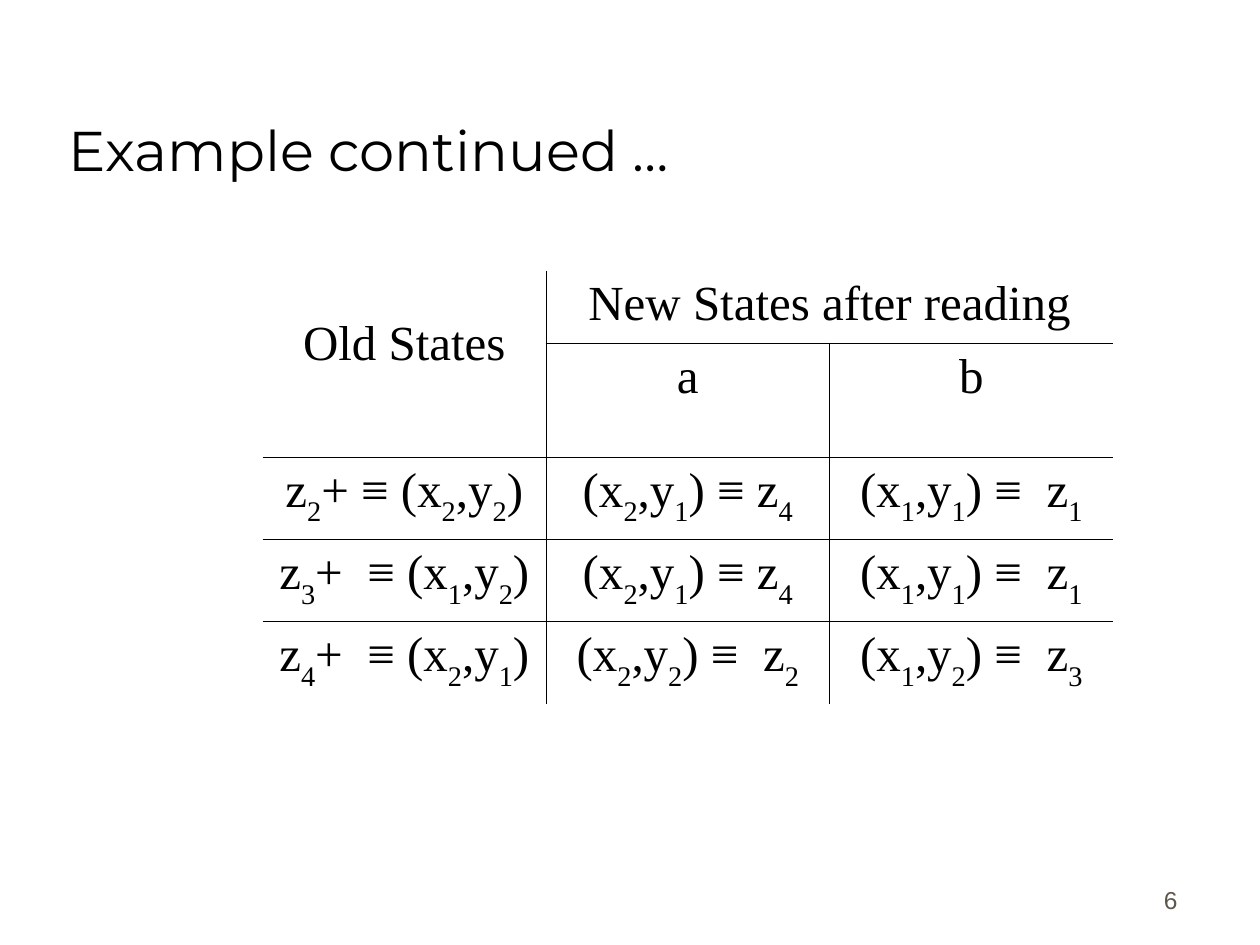
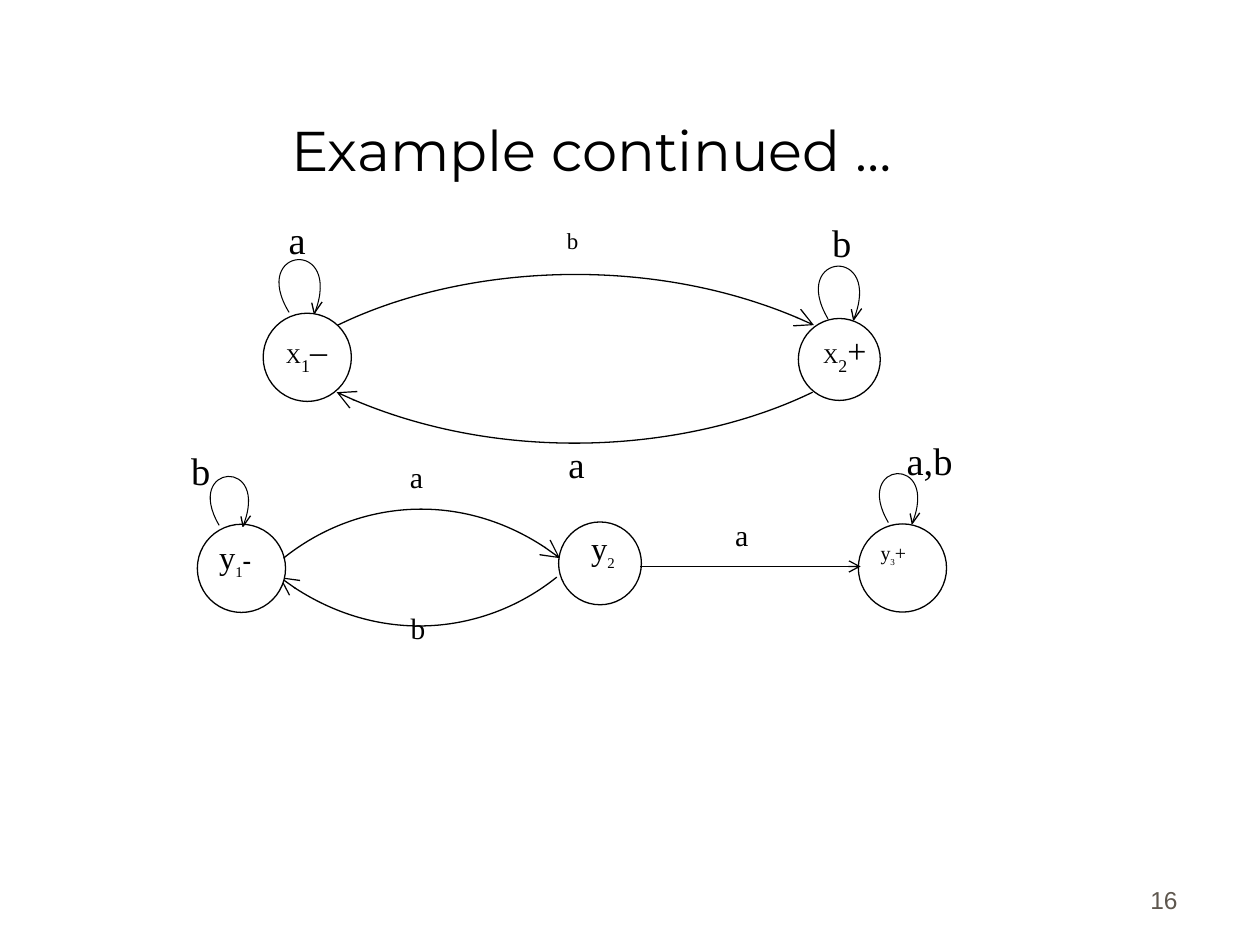
from lxml import etree
from pptx import Presentation
from pptx.dml.color import RGBColor
from pptx.enum.shapes import MSO_CONNECTOR, MSO_SHAPE
from pptx.enum.text import MSO_ANCHOR, PP_ALIGN
from pptx.oxml.ns import qn
from pptx.util import Pt

LEFT, CENTER, RIGHT = PP_ALIGN.LEFT, PP_ALIGN.CENTER, PP_ALIGN.RIGHT
TOP, BOTTOM = MSO_ANCHOR.TOP, MSO_ANCHOR.BOTTOM
OVAL, STRAIGHT = MSO_SHAPE.OVAL, MSO_CONNECTOR.STRAIGHT

COLORS = {"ink": "000000", "paper": "FFFFFF", "number": "5E574E"}
TITLE_FONT, NUMBER_FONT, MATH_FONT = "Montserrat", "Arial", "Times New Roman"
TITLE = "Example continued …"
WIDE_GAP = "~"
LOOP_CONTROLS = [(-1.3, 22.8), (-27, -13.2), (27, -22.2), (13.2, 22.4)]
LOOP_HEADS = [[(11.3, 22.7), (16.3, 16.9)], [(10.4, 17), (11.2, 23.4)]]

TRANSITIONS = [
    ("z_2+ ≡ (x_2,y_2)", "(x_2,y_1) ≡ z_4", "(x_1,y_1) ≡~z_1"),
    ("z_3+~≡ (x_1,y_2)", "(x_2,y_1) ≡ z_4", "(x_1,y_1) ≡~z_1"),
    ("z_4+~≡ (x_2,y_1)", "(x_2,y_2) ≡~z_2", "(x_1,y_2) ≡~z_3"),
]
CIRCLES = [
    (150.4, 179, 50.4), (456.2, 182, 46.8),
    (112.8, 299.6, 50.4), (319.2, 298.3, 47.3), (490.5, 299.4, 50.4),
]
RETURN_ARC = [(318.2, 329.8), (277.9, 362.2), (212.4, 370.1), (159.8, 329.8)]
ARCS = [
    [(193, 185.8), (262.8, 151.9), (375.8, 143.8), (465.1, 185.8)],
    [(464.4, 224.1), (394.6, 258), (282.2, 266.6), (192.4, 224.1)],
    [(162, 319), (202.3, 286.6), (267.8, 278.4), (320, 319)],
]
LOOPS = [(168.1, 155.9, 1, 4), (476.4, 159.6, 1, 5),
         (128.3, 279.2, 0.93, 5), (510.7, 277.6, 0.93, 5)]
EDGE_LABELS = [
    ("b", 468.5, 121.7, 60.5, 40.3, 22, 1),
    ("a", 157.9, 120.2, 60.5, 40.3, 22, 1),
    ("a", 317.7, 249.1, 28, 33, 21, 1),
    ("b", 316.8, 128.9, 23.8, 23.8, 13.1, 0.8),
    ("a,b", 511, 246.2, 70.6, 48.2, 22, 1),
    ("b", 102.2, 252, 70.6, 48.2, 22, 1),
    ("a", 227.2, 262.5, 29.5, 28.8, 17.1, 0.8),
    ("a", 413, 295.5, 29.5, 28.8, 17.1, 0.8),
    ("b", 227.5, 349.2, 29.5, 28.8, 16.8, 0.8),
]
STATE_NAMES = [
    ([("X", 12), ("1", 17.6, True), ("–", 19.4)],
     156.3, 184.7, 70.6, 38.4, 0.9),
    ([("X", 12), ("2", 17.6, True), ("+", 19.4)],
     463.3, 185, 70.6, 38.4, 0.9),
    ([("y", 18.6), ("1", 14.7, True), ("-", 14.7, False, True)],
     118.1, 306, 57.6, 33.1, 0.8),
    ([("y", 18.6), ("2", 14.7, True)], 330.7, 301, 57.6, 32.4, 0.8),
    ([("y", 11.4), ("3", 9, True), ("+", 11.4)],
     496.1, 307.3, 55.4, 24.5, 0.8),
]


def add_span(para, text, size=28, font=MATH_FONT, color="ink",
             subscript=False, bold=False, tracking=0):
    span = para.add_run()
    span.text = text
    span.font.size = Pt(size)
    span.font.name = font
    span.font.bold = bold
    span.font.color.rgb = RGBColor.from_string(COLORS[color])
    if subscript:
        span._r.get_or_add_rPr().set("baseline", "-30000")
    if tracking:
        span._r.get_or_add_rPr().set("spc", str(tracking * 100))


def add_formula(para, formula):
    for index, part in enumerate(formula.split("_")):
        if index:
            add_span(para, part[0], subscript=True)
            part = part[1:]
        before, gap, after = part.partition(WIDE_GAP)
        if before:
            add_span(para, before)
        if gap:
            add_span(para, " ", tracking=7)
        if after:
            add_span(para, after)


def add_box(page, left, top, width, height, anchor=TOP, align=LEFT, spacing=1):
    box = page.shapes.add_textbox(Pt(left), Pt(top), Pt(width), Pt(height))
    box.text_frame.word_wrap = True
    box.text_frame.vertical_anchor = anchor
    para = box.text_frame.paragraphs[0]
    para.alignment = align
    para.line_spacing = spacing
    return para


def add_page(deck, number, align):
    page = deck.slides.add_slide(deck.slide_layouts[5])
    title = page.shapes.title
    title.left, title.top, title.width, title.height = Pt(32), Pt(18), Pt(612), Pt(90)
    title.text_frame.vertical_anchor = BOTTOM
    para = title.text_frame.paragraphs[0]
    para.alignment = align
    add_span(para, TITLE, size=32, font=TITLE_FONT)
    para = add_box(page, 530, 490, 150, 36, anchor=BOTTOM, align=RIGHT)
    add_span(para, number, size=14, font=NUMBER_FONT, color="number")
    return page


def set_border(cell, side, visible):
    border = etree.SubElement(cell._tc.get_or_add_tcPr(), qn("a:ln" + side))
    border.set("w", str(Pt(0.45)))
    if visible:
        fill = etree.SubElement(border, qn("a:solidFill"))
        etree.SubElement(fill, qn("a:srgbClr")).set("val", COLORS["ink"])
    else:
        etree.SubElement(border, qn("a:noFill"))


def format_cell(table, row, column):
    cell = table.cell(row, column)
    last_row = row + cell.span_height == len(table.rows)
    last_column = column + cell.span_width == len(table.columns)
    set_border(cell, "L", column > 0 and not cell.is_spanned)
    set_border(cell, "R", not last_column)
    set_border(cell, "T", row > 0 and not cell.is_spanned)
    set_border(cell, "B", not last_row)
    cell.fill.background()


def add_transition_table(page):
    heights = [41.4, 65, 47, 47, 47]
    frame = page.shapes.add_table(5, 3, Pt(150), Pt(154.8), Pt(486), Pt(sum(heights)))
    table = frame.table
    table.first_row = table.horz_banding = False
    for column in table.columns:
        column.width = Pt(162)
    for row, height in zip(table.rows, heights):
        row.height = Pt(height)
    table.cell(0, 0).merge(table.cell(1, 0))
    table.cell(0, 1).merge(table.cell(0, 2))
    rows = [("Old States", "New States after reading", ""), ("", "a", "b"), *TRANSITIONS]
    for row, formulas in enumerate(rows):
        for column, formula in enumerate(formulas):
            format_cell(table, row, column)
            if formula:
                para = table.cell(row, column).text_frame.paragraphs[0]
                para.alignment = CENTER
                add_formula(para, formula)
    table.cell(0, 0).margin_top = Pt(26)


def set_line(shape, width, arrow=None):
    shape.line.color.rgb = RGBColor.from_string(COLORS["ink"])
    shape.line.width = Pt(width)
    if arrow:
        tail = etree.SubElement(shape._element.spPr.get_or_add_ln(), qn("a:tailEnd"))
        for name, value in (("type", "arrow"), ("w", arrow), ("len", arrow)):
            tail.set(name, value)


def add_circle(page, left, top, size):
    circle = page.shapes.add_shape(OVAL, Pt(left), Pt(top), Pt(size), Pt(size))
    circle.shadow.inherit = False
    circle.fill.solid()
    circle.fill.fore_color.rgb = RGBColor.from_string(COLORS["paper"])
    set_line(circle, 0.75)


def add_stroke(page, points, width=0.75, arrow=None, rotation=0):
    start, *others = [(Pt(x), Pt(y)) for x, y in points]
    builder = page.shapes.build_freeform(*start)
    builder.add_line_segments(others, close=False)
    stroke = builder.convert_to_shape()
    stroke.rotation = rotation
    stroke.shadow.inherit = False
    stroke.fill.background()
    set_line(stroke, width, arrow)
    return stroke


def add_curve(page, controls, **line):
    curve = add_stroke(page, controls, **line)
    outline = next(curve._element.iter(qn("a:path")))
    bezier = etree.SubElement(outline, qn("a:cubicBezTo"))
    for segment in outline.findall(qn("a:lnTo")):
        bezier.append(segment[0])
        outline.remove(segment)


def add_loop(page, center_x, center_y, scale, rotation):
    def place(points):
        return [(center_x + scale * x, center_y + scale * y) for x, y in points]

    add_curve(page, place(LOOP_CONTROLS), width=0.6, rotation=rotation)
    for head in LOOP_HEADS:
        add_stroke(page, place(head), rotation=rotation - 10)


def add_arrow(page, start, end, level):
    arrow = page.shapes.add_connector(STRAIGHT, Pt(start), Pt(level), Pt(end), Pt(level))
    set_line(arrow, 0.75, "med")
    etree.SubElement(arrow._element.spPr, qn("a:effectLst"))


def add_automata(page):
    add_curve(page, RETURN_ARC, arrow="lg")
    for circle in CIRCLES:
        add_circle(page, *circle)
    for arc in ARCS:
        add_curve(page, arc, arrow="lg")
    for loop in LOOPS:
        add_loop(page, *loop)
    add_arrow(page, 365.8, 491.8, 323.7)
    for text, left, top, width, height, size, spacing in EDGE_LABELS:
        para = add_box(page, left, top, width, height, spacing=spacing)
        add_span(para, text, size=size)
    for spans, left, top, width, height, spacing in STATE_NAMES:
        para = add_box(page, left, top, width, height, spacing=spacing)
        for text, size, *style in spans:
            add_span(para, text, size=size, subscript=True in style[:1],
                     bold=True in style[1:])


def main():
    deck = Presentation()
    deck.slide_width, deck.slide_height = Pt(720), Pt(540)
    add_transition_table(add_page(deck, "6", LEFT))
    add_automata(add_page(deck, "16", CENTER))
    deck.save("out.pptx")


if __name__ == "__main__":
    main()
